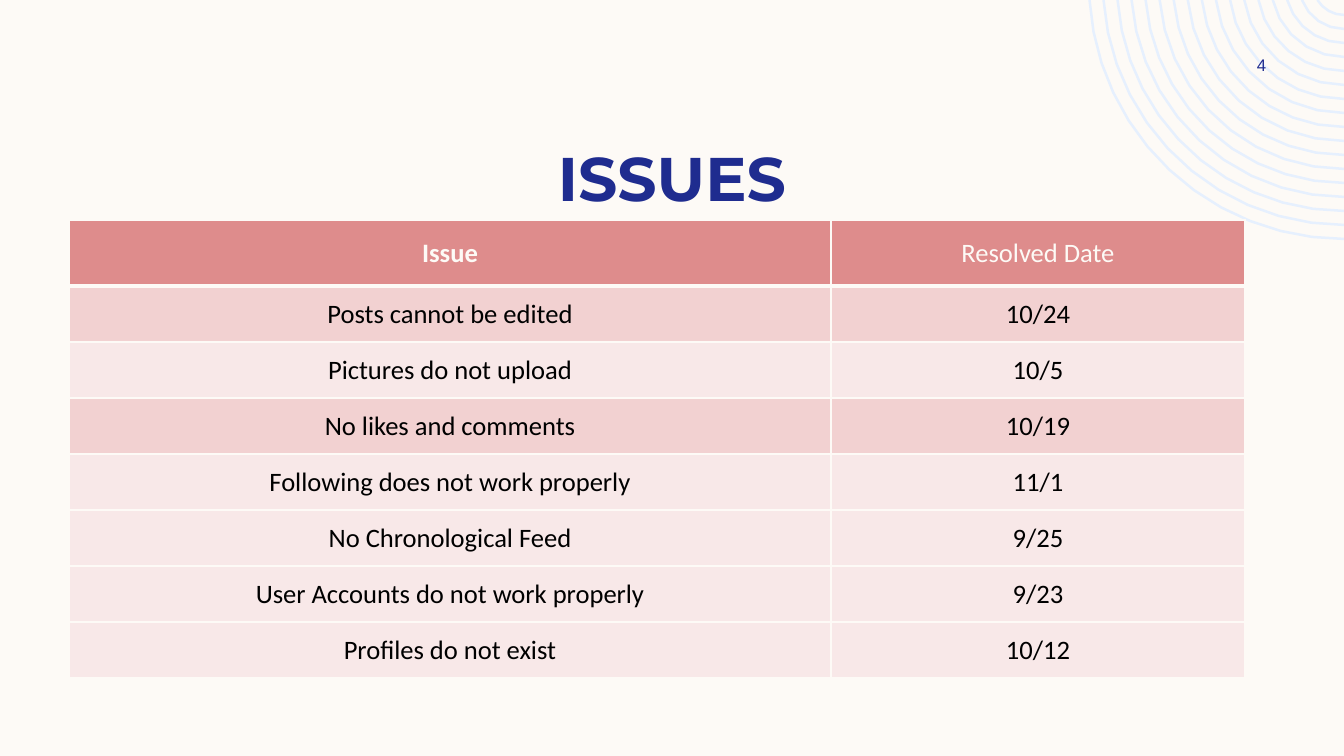
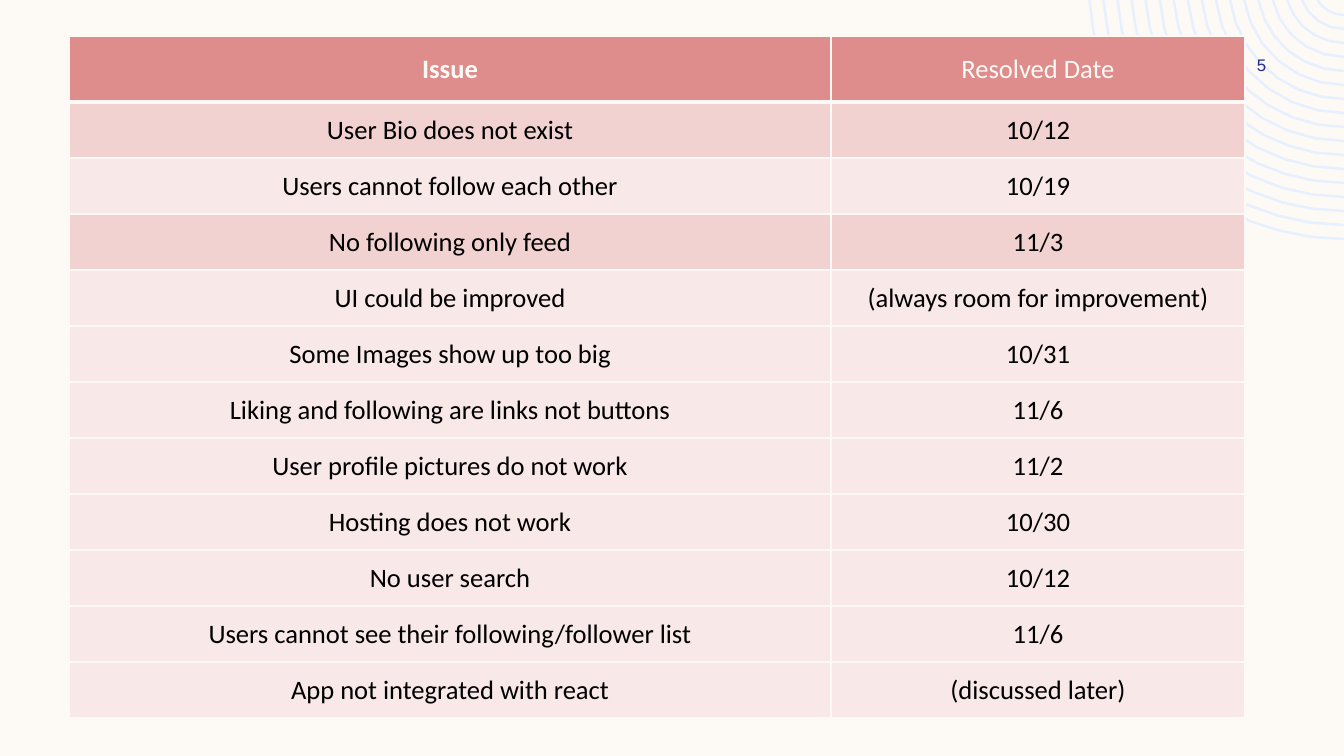
from math import asin, cos, pi, sin

from lxml import etree
from pptx import Presentation
from pptx import util as u
from pptx.dml.color import RGBColor
from pptx.enum import text
from pptx.oxml import ns

# Content
HEAD = ("Issue", "Resolved Date")
PAGES = [
    {"no": "4", "title": "ISSUES", "top": 220, "rows": [
        ("Posts cannot be edited", "10/24"),
        ("Pictures do not upload", "10/5"),
        ("No likes and comments", "10/19"),
        ("Following does not work properly", "11/1"),
        ("No Chronological Feed", "9/25"),
        ("User Accounts do not work properly", "9/23"),
        ("Profiles do not exist", "10/12"),
    ]},
    {"no": "5", "title": None, "top": 36, "rows": [
        ("User Bio does not exist", "10/12"),
        ("Users cannot follow each other", "10/19"),
        ("No following only feed", "11/3"),
        ("UI could be improved", "(always room for improvement)"),
        ("Some Images show up too big", "10/31"),
        ("Liking and following are links not buttons", "11/6"),
        ("User profile pictures do not work", "11/2"),
        ("Hosting does not work", "10/30"),
        ("No user search", "10/12"),
        ("Users cannot see their following/follower list", "11/6"),
        ("App not integrated with react", "(discussed later)"),
    ]},
]

# Shared style
WIDE, HIGH = 1344, 756
SCALE = 12192000 / WIDE
CREAM, NAVY, BLACK, SKY = "FDFAF6", "1F2C8F", "000000", "E6F0FE"
ROSE, PINK, PALE = "DE8C8C", "F2D1D1", "F8E8E8"
DARK = (1, 3)  # body rows with the deeper tint

# Layout in px
LEFT, COLS = 69, (762, 414)
HEAD_H, ROW_H = 66, 56
TITLE = (84, 134, 1176, 85)
NUMBER = (1207, 50, 109, 30)
RINGS, RADIUS, STEP, BAND = 17, 31, 14, 2.5
MID = (WIDE, -16)  # shared centre of the rings


def px(n):
    return u.Emu(round(n * SCALE))


def rgb(color):
    return RGBColor.from_string(color)


def paint(fill, color):
    fill.solid()
    fill.fore_color.rgb = rgb(color)


def write(frame, words, size, font, color, bold=False):
    frame.word_wrap = True
    para = frame.paragraphs[0]
    para.alignment = text.PP_ALIGN.CENTER
    run = para.add_run()
    run.text = words
    run.font.size = u.Pt(size)
    run.font.name = font
    run.font.bold = bold
    run.font.color.rgb = rgb(color)


def label(slide, box, *style):
    frame = slide.shapes.add_textbox(*map(px, box)).text_frame
    frame.vertical_anchor = text.MSO_ANCHOR.MIDDLE
    write(frame, *style)


# Corner rings, cut off at the slide's top and right edges
def arc(r, parts):
    start = asin(-MID[1] / r)
    turns = [start + (pi / 2 - start) * i / parts for i in range(parts + 1)]
    return [(px(MID[0] - r * cos(a)), px(MID[1] + r * sin(a))) for a in turns]


def rings(slide):
    build = None
    for i in range(RINGS):
        first, *rest = arc(RADIUS + STEP * i, 4 + i // 2)
        if build is None:
            build = slide.shapes.build_freeform(*first)
        else:
            build.move_to(*first)
        build.add_line_segments(rest, close=False)
    shape = build.convert_to_shape()
    shape.shadow.inherit = False
    shape.fill.background()
    shape.line.color.rgb = rgb(SKY)
    shape.line.width = px(BAND)


# Table
def edges(cell, top, bottom):
    props = cell._tc.get_or_add_tcPr()
    for side, width in (("L", 1), ("R", 1), ("T", top), ("B", bottom)):
        line = etree.SubElement(props, ns.qn("a:ln" + side), w=str(u.Pt(width)))
        fill = etree.SubElement(line, ns.qn("a:solidFill"))
        etree.SubElement(fill, ns.qn("a:srgbClr"), val=CREAM)


def table(slide, top, body):
    rows = [HEAD] + body
    high = HEAD_H + ROW_H * len(body)
    box = (LEFT, top, sum(COLS), high)
    grid = slide.shapes.add_table(len(rows), len(COLS), *map(px, box)).table
    grid.first_row = grid.horz_banding = False
    for col, wide in zip(grid.columns, COLS):
        col.width = px(wide)
    for i, row in enumerate(rows):
        head = i == 0
        grid.rows[i].height = px(HEAD_H if head else ROW_H)
        for j, words in enumerate(row):
            cell = grid.cell(i, j)
            cell.vertical_anchor = text.MSO_ANCHOR.MIDDLE
            edges(cell, 3 if i == 1 else 1, 3 if head else 1)
            paint(cell.fill, ROSE if head else PINK if i in DARK else PALE)
            write(cell.text_frame, words, 19, "Calibri",
                  CREAM if head else BLACK, head and j == 0)


def main():
    prs = Presentation()
    prs.slide_width, prs.slide_height = px(WIDE), px(HIGH)
    paint(prs.slide_master.background.fill, CREAM)
    for page in PAGES:
        slide = prs.slides.add_slide(prs.slide_layouts[6])
        rings(slide)
        if page["title"]:
            label(slide, TITLE, page["title"], 44, "Montserrat", NAVY, True)
        table(slide, page["top"], page["rows"])
        label(slide, NUMBER, page["no"], 12, "Arial", NAVY)
    prs.save("out.pptx")


if __name__ == "__main__":
    main()
